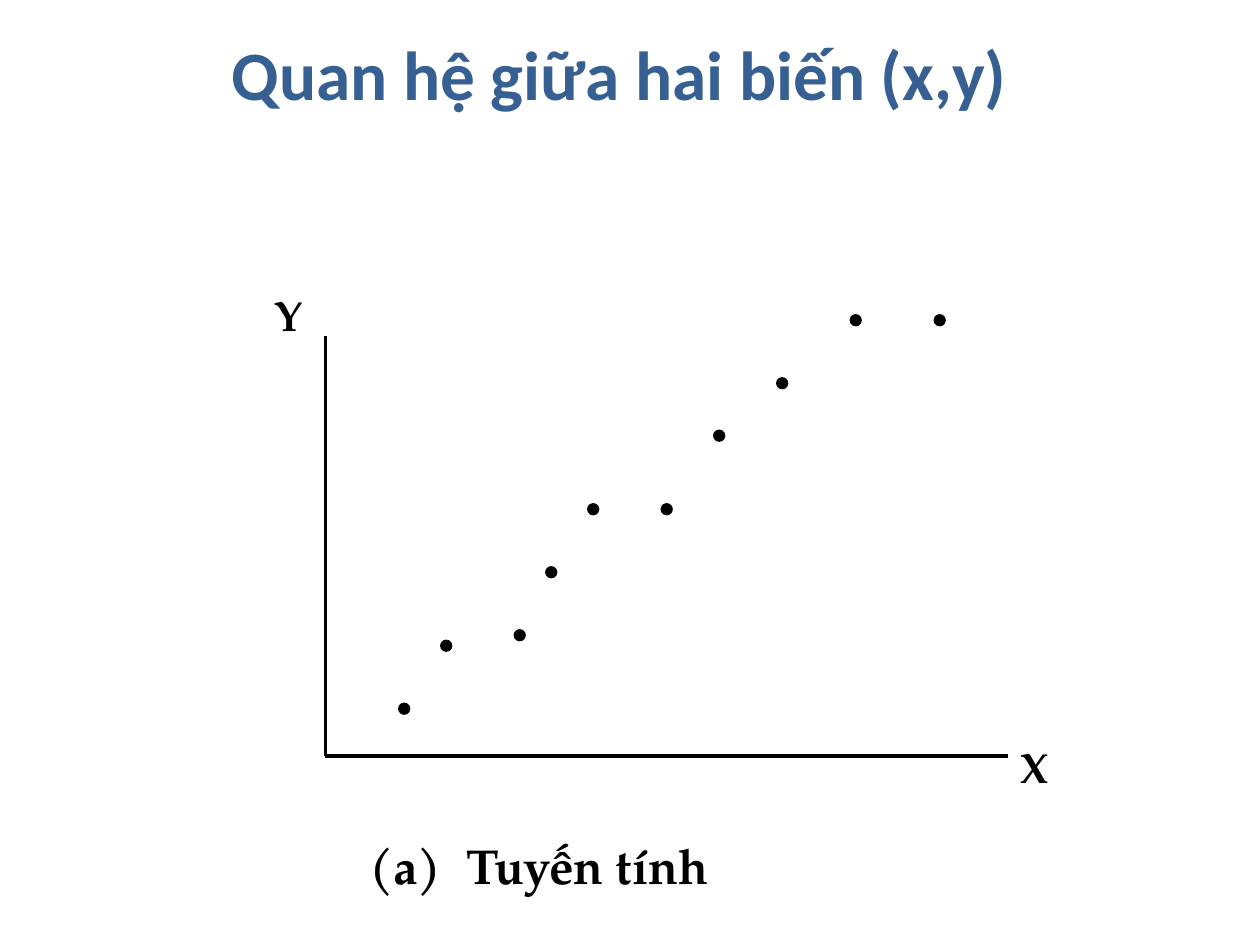
import pptx
import pptx.dml.color
import pptx.enum.shapes
import pptx.enum.text
import pptx.oxml
import pptx.oxml.ns
import pptx.util
from dataclasses import dataclass


@dataclass(frozen=True)
class Theme:
    title_font: str = "Calibri"
    label_font: str = "TeX Gyre Pagella"
    title_color: str = "376092"
    ink: str = "000000"
    title_size: float = 39.6
    label_size: int = 24
    caption_size: int = 28
    axis_width: float = 2.25
    dot_outline: int = 1
    caption_gap: int = 7


THEME = Theme()
PX = pptx.util.Inches(1) // 120

SLIDE = (1200, 900)
TITLE = ("Quan hệ giữa hai biến (x,y)", (80, 30, 1020, 150))
ORIGIN = (310, 720)
AXIS_ENDS = [(310, 320), (960, 720)]
AXIS_LABELS = [("X", (960, 700, 70, 60)), ("Y", (250, 270, 70, 60))]
CAPTION = (["(a)", " ", "Tuyến tính"], (340, 790, 370, 68))
DOT = 10
OBSERVATIONS = [
    (380, 670), (420, 610), (490, 600), (520, 540), (560, 480),
    (630, 480), (680, 410), (740, 360), (810, 300), (890, 300),
]


def emu(lengths):
    return [length * PX for length in lengths]


def rgb(color):
    return pptx.dml.color.RGBColor.from_string(color)


def add_run(paragraph, words, font, size, color):
    run = paragraph.add_run()
    run.text = words
    run.font.name = font
    run.font.size = pptx.util.Pt(size)
    run.font.bold = True
    run.font.color.rgb = rgb(color)
    return run


def add_title(slide):
    words, box = TITLE
    title = slide.shapes.title
    title.left, title.top, title.width, title.height = emu(box)
    frame = title.text_frame
    frame.word_wrap = True
    frame.margin_top = 0
    frame.vertical_anchor = pptx.enum.text.MSO_ANCHOR.TOP
    heading = frame.paragraphs[0]
    heading.alignment = pptx.enum.text.PP_ALIGN.CENTER
    add_run(heading, words, THEME.title_font, THEME.title_size, THEME.title_color)


def add_label(slide, pieces, box, size):
    frame = slide.shapes.add_textbox(*emu(box)).text_frame
    frame.word_wrap = True
    for piece in pieces:
        run = add_run(frame.paragraphs[0], piece, THEME.label_font, size, THEME.ink)
        if piece == " ":
            run.font._element.set("spc", str(THEME.caption_gap * 100))


def add_axis(slide, end):
    axis = slide.shapes.add_connector(
        pptx.enum.shapes.MSO_CONNECTOR.STRAIGHT, *emu(ORIGIN + end))
    axis.line.color.rgb = rgb(THEME.ink)
    axis.line.width = pptx.util.Pt(THEME.axis_width)
    properties = axis._element.spPr
    properties.append(properties.makeelement(pptx.oxml.ns.qn("a:effectLst"), {}))


def add_observation(slide, corner):
    dot = slide.shapes.add_shape(
        pptx.enum.shapes.MSO_SHAPE.OVAL, *emu(corner + (DOT, DOT)))
    dot.shadow.inherit = False
    dot.fill.solid()
    dot.fill.fore_color.rgb = rgb(THEME.ink)
    dot.line.color.rgb = rgb(THEME.ink)
    dot.line.width = pptx.util.Pt(THEME.dot_outline)


def main():
    deck = pptx.Presentation()
    deck.slide_width, deck.slide_height = emu(SLIDE)
    slide = deck.slides.add_slide(deck.slide_layouts.get_by_name("Title Only"))
    add_title(slide)
    for end in AXIS_ENDS:
        add_axis(slide, end)
    for letter, box in AXIS_LABELS:
        add_label(slide, [letter], box, THEME.label_size)
    for corner in OBSERVATIONS:
        add_observation(slide, corner)
    add_label(slide, *CAPTION, THEME.caption_size)
    deck.save("out.pptx")


if __name__ == "__main__":
    main()
